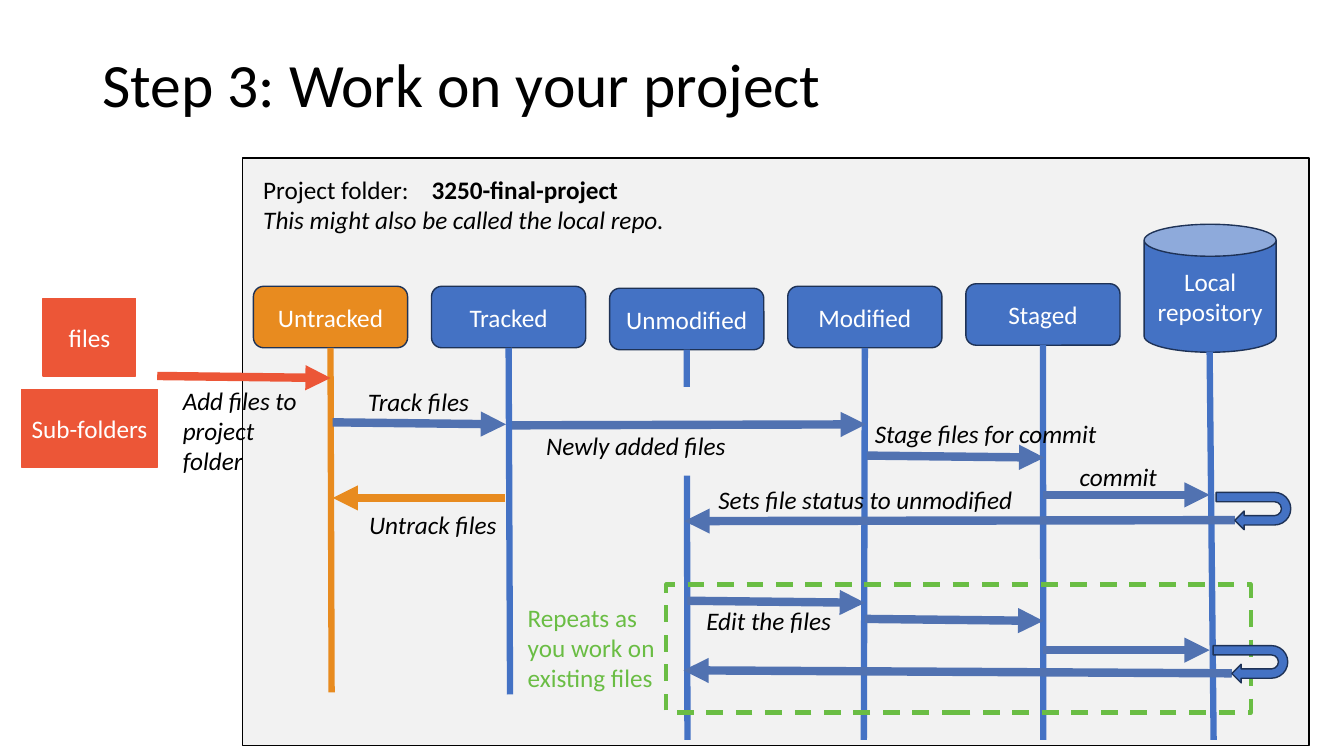
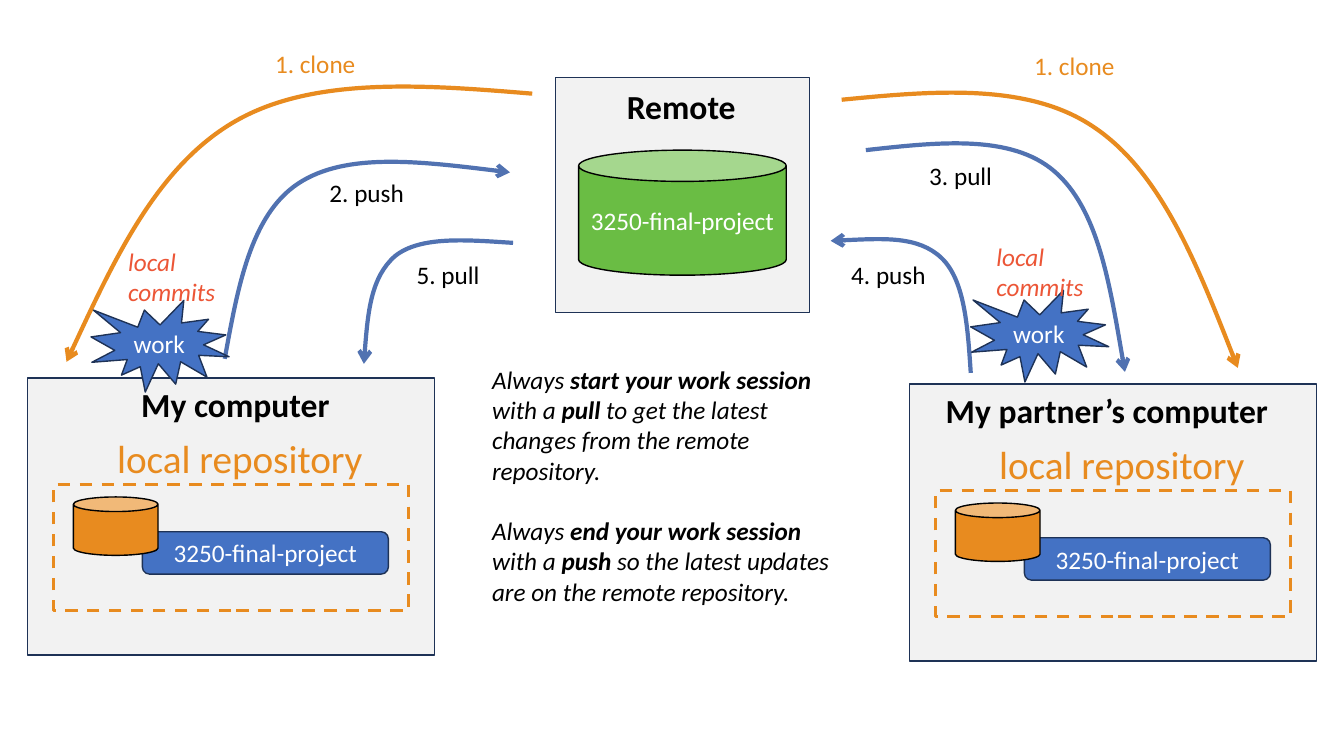
"""Build two slides on version control: the file lifecycle and working with a partner."""
from lxml import etree
from pptx import Presentation
from pptx import util as u
from pptx.dml.color import RGBColor
from pptx.enum import dml, shapes, text as t
from pptx.oxml.ns import qn

BLACK = RGBColor(0x00, 0x00, 0x00)
WHITE = RGBColor(0xFF, 0xFF, 0xFF)
PANEL = RGBColor(0xF2, 0xF2, 0xF2)
BLUE = RGBColor(0x44, 0x72, 0xC4)
STEEL = RGBColor(0x51, 0x72, 0xB1)
NAVY = RGBColor(0x1E, 0x32, 0x56)
ORANGE = RGBColor(0xE8, 0x8B, 0x1F)
RED = RGBColor(0xEC, 0x56, 0x37)
GREEN = RGBColor(0x6A, 0xBD, 0x44)

FONT = "Calibri"
CELL = u.Inches(0.1)
KIND = shapes.MSO_SHAPE
PROJECT = "3250-final-project"


def cells(*numbers):
    return [u.Emu(round(number * CELL)) for number in numbers]


def write(frame, content, size=18, color=BLACK, bold=False, italic=False,
          align=t.PP_ALIGN.LEFT, spacing=None, gap=0, tab=None):
    """Add one paragraph per line; text between double asterisks is bold."""
    for line in content.split("\n"):
        first = not frame.text
        paragraph = frame.paragraphs[0] if first else frame.add_paragraph()
        paragraph.alignment = align
        if spacing:
            paragraph.line_spacing = spacing
        if gap and not first:
            paragraph.space_before = u.Pt(gap)
        if tab:
            stops = etree.SubElement(paragraph._p.get_or_add_pPr(), qn("a:tabLst"))
            etree.SubElement(stops, qn("a:tab"), pos=str(cells(tab)[0]), algn="l")
        for index, part in enumerate(line.split("**")):
            if part:
                run = paragraph.add_run()
                run.text = part
                run.font.name = FONT
                run.font.size = u.Pt(size)
                run.font.color.rgb = color
                run.font.bold = bold or index % 2 == 1
                run.font.italic = italic


class Deck:
    """Hold the presentation, its style and the current slide."""

    def __init__(self):
        self.presentation = Presentation()
        self.presentation.slide_width, self.presentation.slide_height = cells(133.33, 75)
        self.slide = None

    def add_slide(self, title=None):
        layout = self.presentation.slide_layouts[5 if title else 6]
        self.slide = self.presentation.slides.add_slide(layout)
        if title:
            holder = self.slide.shapes.title
            holder.left, holder.top, holder.width, holder.height = cells(9.17, 4, 115, 9.4)
            holder.text_frame.vertical_anchor = t.MSO_ANCHOR.MIDDLE
            write(holder.text_frame, title, size=44, spacing=0.9)

    def stroke(self, shape, color, width, head=None):
        shape.line.color.rgb = color
        shape.line.width = u.Pt(width)
        if head:
            line = shape.element.spPr.find(qn("a:ln"))
            etree.SubElement(line, qn("a:tailEnd"), type=head)

    def shape(self, kind, box, content="", fill=BLUE, line=NAVY, width=1, dash=False, rotation=0):
        shape = self.slide.shapes.add_shape(kind, *cells(*box))
        shape.shadow.inherit = False
        shape.rotation = rotation
        if fill is None:
            shape.fill.background()
        else:
            shape.fill.solid()
            shape.fill.fore_color.rgb = fill
        if line is None:
            shape.line.fill.background()
        else:
            self.stroke(shape, line, width)
            if dash:
                shape.line.dash_style = dml.MSO_LINE.DASH
        if content:
            shape.text_frame.vertical_anchor = t.MSO_ANCHOR.MIDDLE
            write(shape.text_frame, content, color=WHITE, align=t.PP_ALIGN.CENTER)
        return shape

    def label(self, box, content, **style):
        frame = self.slide.shapes.add_textbox(*cells(*box)).text_frame
        frame.word_wrap = True
        frame.auto_size = t.MSO_AUTO_SIZE.SHAPE_TO_FIT_TEXT
        write(frame, content, **style)
        return frame

    def line(self, ends, color=STEEL, width=6, head="triangle", source=None):
        connector = self.slide.shapes.add_connector(shapes.MSO_CONNECTOR.STRAIGHT, *cells(*ends))
        if source is not None:
            connector.begin_connect(source, 2)
        self.stroke(connector, color, width, head)
        etree.SubElement(connector.element.spPr, qn("a:effectLst"))

    def curve(self, points, color):
        """Draw cubic Bezier arcs, chained end to end, with an open arrowhead."""
        builder = self.slide.shapes.build_freeform(*cells(*points[0]))
        builder.add_line_segments([cells(*point) for point in points[1:]], close=False)
        shape = builder.convert_to_shape()
        segments = list(shape.element.spPr.iter(qn("a:lnTo")))
        outline = segments[0].getparent()
        for start in range(0, len(segments), 3):
            arc = etree.SubElement(outline, qn("a:cubicBezTo"))
            for segment in segments[start:start + 3]:
                arc.append(segment[0])
                outline.remove(segment)
        shape.shadow.inherit = False
        shape.fill.background()
        self.stroke(shape, color, 3, "arrow")


def build_lifecycle(deck):
    deck.add_slide("Step 3: Work on your project")
    deck.shape(KIND.RECTANGLE, (24.07, 15.67, 105.8, 58.3), fill=PANEL, line=BLACK)
    folder = deck.label((25.13, 16.8, 45.1, 7.1), f"Project folder:\t**{PROJECT}**", tab=16.7)
    write(folder, "This might also be called the local repo.", italic=True)

    states = [("Untracked", 28.4, 32.9, 68.7, ORANGE), ("Tracked", 28.4, 50.6, 68.9, BLUE),
              ("Unmodified", 28.6, 68.2, 73.4, BLUE), ("Modified", 28.4, 85.7, 73.4, BLUE),
              ("Staged", 28.15, 103.5, 73.4, BLUE)]
    for index, (name, top, foot, bottom, color) in enumerate(states):
        left = 25.14 + 17.67 * index
        state = deck.shape(KIND.ROUNDED_RECTANGLE, (left, top, 15.3, 6.1), name, fill=color)
        deck.line((left + 7.65, top + 6.1, foot, bottom), color, 4.5, None, source=state)
    deck.shape(KIND.CAN, (113.5, 22.25, 13.1, 12.7), "Local\nrepository")
    deck.line((120, 34.9, 120.4, 73.4), BLUE, 4.5, None)
    deck.shape(KIND.RECTANGLE, (66.9, 38.4, 2.4, 8.8), fill=PANEL, line=None)

    deck.shape(KIND.RECTANGLE, (4.27, 29.6, 9.2, 7.7), "files", fill=RED, line=RED)
    deck.shape(KIND.RECTANGLE, (2.13, 38.65, 13.5, 7.7), "Sub-folders", fill=RED, line=RED)

    deck.line((15.6, 37.3, 32.8, 37.5), RED)
    deck.line((50.1, 49.4, 33, 49.4), ORANGE)
    for ends in [(33, 41.9, 50.2, 42.1), (50.8, 42.2, 85.9, 42.1), (86, 45.2, 103.6, 45.4),
                 (103.5, 49.1, 120, 49.1), (122.5, 51.6, 67.9, 51.7),
                 (68.2, 59.6, 85.8, 59.8), (85.8, 61.4, 103.5, 61.6),
                 (103.5, 64.5, 120, 64.5), (122.2, 66.8, 67.8, 66.5)]:
        deck.line(ends)
    deck.shape(KIND.RECTANGLE, (66.1, 58, 58, 12.7), fill=None, line=GREEN, width=3, dash=True)
    for left, top in [(122.5, 47), (122.2, 62.2)]:
        deck.shape(KIND.U_TURN_ARROW, (left, top, 3.7, 7.4), rotation=90)

    for box, content in [((17.15, 37.7, 14, 10.1), "Add files to project folder"),
                         ((35.5, 37.85, 14.1, 4), "Track files"),
                         ((53.2, 42.2, 27.8, 4), "Newly added files"),
                         ((85.8, 41, 28.1, 4), "Stage files for commit"),
                         ((106.13, 45.3, 11.7, 4), "commit"),
                         ((70.27, 47.6, 35.1, 4), "Sets file status to unmodified"),
                         ((35.63, 50.07, 15, 4), "Untrack files"),
                         ((69.1, 59.6, 15, 4), "Edit the files")]:
        deck.label(box, content, italic=True)
    deck.label((51.37, 59.24, 15.2, 10.1), "Repeats as you work on existing files", color=GREEN)


def draw_computer(deck, left, top, name, indent, width):
    deck.shape(KIND.RECTANGLE, (left, top, 40.4, 27.5), fill=PANEL)
    deck.label((left + indent, top + 0.1, width, 5), name, size=24, bold=True)
    deck.shape(KIND.ROUNDED_RECTANGLE, (left + 11.4, top + 15.25, 24.4, 4.2), PROJECT)
    deck.shape(KIND.RECTANGLE, (left + 2.6, top + 10.55, 35.2, 12.5),
               fill=None, line=ORANGE, width=2.25, dash=True)
    deck.shape(KIND.CAN, (left + 4.55, top + 11.8, 8.4, 5.8), fill=ORANGE, line=BLACK)
    deck.label((left + 7.9, top + 5.1, 27.7, 4.2), "local repository", size=28, color=ORANGE)


def build_partners(deck):
    deck.add_slide()
    deck.shape(KIND.RECTANGLE, (55.1, 7.7, 25.2, 23.3), fill=PANEL)
    deck.shape(KIND.CAN, (57.4, 14.9, 20.6, 12.4), PROJECT, fill=GREEN, line=BLACK)
    deck.label((61.2, 8, 14, 5), "Remote", size=24, bold=True)
    draw_computer(deck, 2.73, 37.5, "My computer", 10.3, 23.3)
    draw_computer(deck, 90.23, 38.1, "My partner’s computer", 2.6, 36.9)

    transfers = [
        ("1. clone", 26.3, 4.3, ORANGE, [(52.8, 9.3), (42, 8.4), (31.1, 7.6), (23.4, 12),
                                         (15.7, 16.4), (11.1, 26.2), (6.6, 35.9)]),
        ("1. clone", 101.6, 4.5, ORANGE, [(83.5, 9.9), (92.7, 9), (102, 8.2), (108.5, 12.6),
                                          (115.1, 17), (119, 26.8), (122.8, 36.5)]),
        ("2. push", 31.7, 17.1, STEEL, [(22.3, 35.6), (23.6, 28.4), (24.9, 21.3), (29.6, 18.2),
                                        (34.3, 15.1), (42.5, 16.1), (50.6, 17.1)]),
        ("3. pull", 91.2, 15.4, STEEL, [(85.9, 14.9), (93.1, 14.1), (100.3, 13.3), (104.6, 17),
                                        (108.9, 20.7), (110.2, 28.8), (111.6, 36.9)]),
        ("4. push", 83.46, 25.25, STEEL, [(96.3, 37), (96, 32.4), (95.7, 27.8), (93.4, 25.6),
                                          (91.1, 23.4), (86.8, 23.7), (82.4, 23.9)]),
        ("5. pull", 40.34, 25.25, STEEL, [(50.9, 24.1), (46.3, 23.8), (41.7, 23.4), (39.2, 25.4),
                                          (36.8, 27.5), (36.4, 31.8), (36.1, 36.1)]),
    ]
    for name, left, top, color, points in transfers:
        deck.curve(points, color)
        deck.label((left, top, 10.2, 4), name, color=ORANGE if color == ORANGE else BLACK)

    advice = deck.label((47.83, 35.65, 37.5, 25.2),
                        "Always **start your work session **with a **pull** to get the latest "
                        "changes from the remote repository.", italic=True)
    write(advice, "Always **end your work session **with a **push** so the latest updates "
          "are on the remote repository.", italic=True, gap=21.6)

    for burst, commits in [((96.3, 28.8), (97.86, 23.4)), ((9.03, 29.8), (11.73, 23.9))]:
        deck.shape(KIND.EXPLOSION1, (*burst, 13.7, 9.1), "work")
        deck.label((*commits, 11.5, 7.1), "local commits", color=RED, italic=True)


def main():
    deck = Deck()
    build_lifecycle(deck)
    build_partners(deck)
    deck.presentation.save("out.pptx")


if __name__ == "__main__":
    main()
